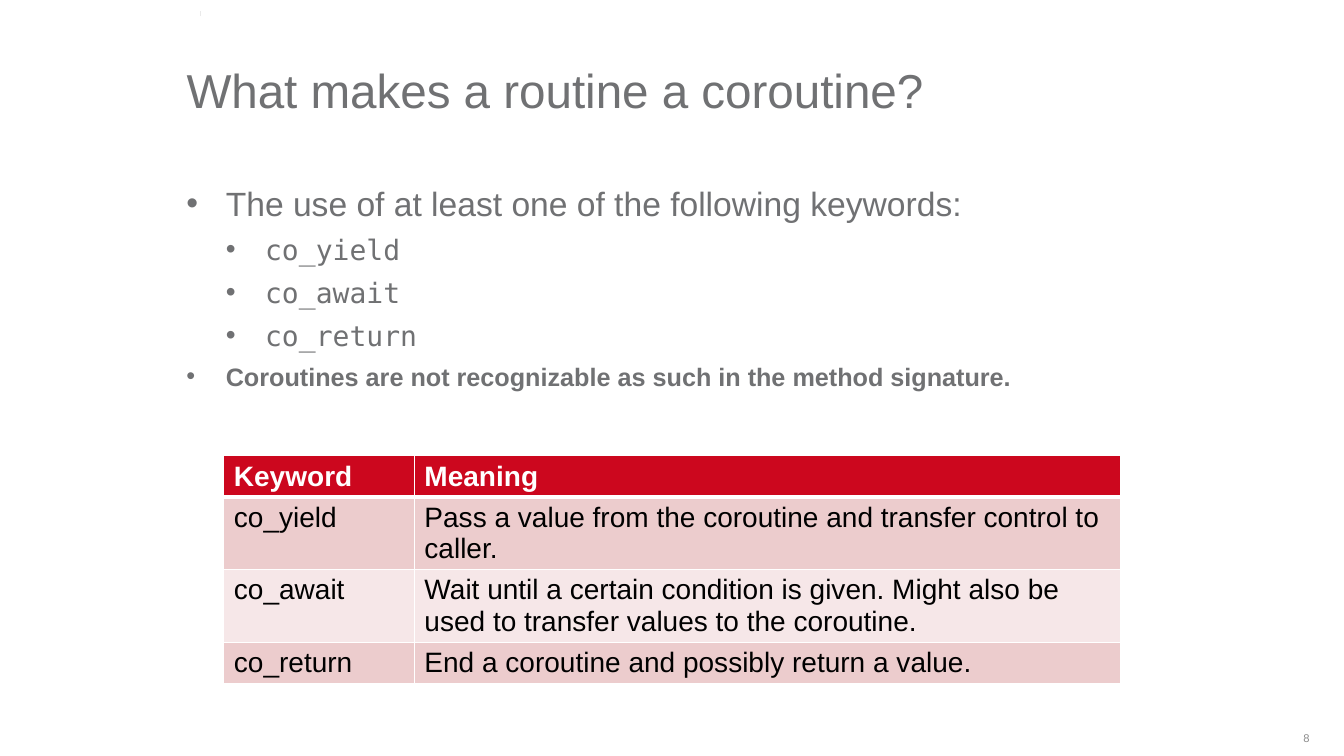
import pptx
import pptx.dml.color
import pptx.enum.shapes
import pptx.enum.text
import pptx.oxml
import pptx.oxml.ns
import pptx.util
from lxml import etree

Inches, Pt = pptx.util.Inches, pptx.util.Pt
ALIGN, ANCHOR = pptx.enum.text.PP_ALIGN, pptx.enum.text.MSO_ANCHOR
qn = pptx.oxml.ns.qn

COLORS = {
    "text": "707173", "number": "8C8C8C", "tick": "EAEAEA", "white": "FFFFFF",
    "black": "000000", "header": "CC071E", "odd": "ECCCCD", "even": "F6E7E8",
}
SANS, MONO = "Arial", "DejaVu Sans Mono"
INDENT = 0.39

# Level, text, size, font, bold
BULLETS = [
    (1, "The use of at least one of the following keywords:", 24, SANS, False),
    (2, "co_yield", 20, MONO, False),
    (2, "co_await", 20, MONO, False),
    (2, "co_return", 20, MONO, False),
    (1, "Coroutines are not recognizable as such in the method signature.", 18, SANS, True),
]
KEYWORDS = [
    ("Keyword", "Meaning"),
    ("co_yield", "Pass a value from the coroutine and transfer control to caller."),
    ("co_await", "Wait until a certain condition is given. Might also be used to "
                 "transfer values to the coroutine."),
    ("co_return", "End a coroutine and possibly return a value."),
]
COLUMN_WIDTHS = [1.89, 7]
ROW_HEIGHTS = [0.41, 0.72, 0.72, 0.41]


def color(name):
    return pptx.dml.color.RGBColor.from_string(COLORS[name])


def style(paragraph, size, name, font=SANS, bold=False):
    for span in paragraph.runs:
        span.font.size = Pt(size)
        span.font.name = font
        span.font.bold = bold
        span.font.color.rgb = color(name)


def prepare_frame(shape, anchor):
    frame = shape.text_frame
    frame.word_wrap = True
    frame.auto_size = pptx.enum.text.MSO_AUTO_SIZE.NONE
    frame.vertical_anchor = anchor
    frame.margin_left = frame.margin_top = frame.margin_right = frame.margin_bottom = 0
    return frame


def add_text_box(page, box, anchor):
    return prepare_frame(page.shapes.add_textbox(*map(Inches, box)), anchor)


def add_bullet(paragraph, level):
    properties = paragraph._p.get_or_add_pPr()
    properties.set("marL", str(Inches(INDENT * level)))
    properties.set("indent", str(-Inches(INDENT)))
    bullet_color = etree.SubElement(properties, qn("a:buClr"))
    etree.SubElement(bullet_color, qn("a:srgbClr"), val=COLORS["text"])
    etree.SubElement(properties, qn("a:buFont"), typeface=SANS)
    etree.SubElement(properties, qn("a:buChar"), char="•")


def add_title(page, box):
    title = page.shapes.title
    title.left, title.top, title.width, title.height = map(Inches, box)
    frame = prepare_frame(title, ANCHOR.BOTTOM)
    frame.text = "What makes a routine a coroutine?"
    paragraph = frame.paragraphs[0]
    paragraph.alignment = ALIGN.LEFT
    paragraph.line_spacing = Pt(38)
    style(paragraph, 34, "text")


def add_bullets(page, box):
    frame = add_text_box(page, box, ANCHOR.TOP)
    frame.text = "\n".join(bullet[1] for bullet in BULLETS)
    for index, (level, _, size, font, bold) in enumerate(BULLETS):
        paragraph = frame.paragraphs[index]
        add_bullet(paragraph, level)
        if index:
            paragraph.space_before = Pt(6.7)
        style(paragraph, size, "text", font, bold)


def add_borders(cell, bottom_width, top_width):
    properties = cell._tc.get_or_add_tcPr()
    for side, width in (("L", 1), ("R", 1), ("T", top_width), ("B", bottom_width)):
        line = etree.SubElement(properties, qn(f"a:ln{side}"), w=str(Pt(width)))
        fill = etree.SubElement(line, qn("a:solidFill"))
        etree.SubElement(fill, qn("a:srgbClr"), val=COLORS["white"])


def add_keyword_table(page, box):
    table = page.shapes.add_table(len(KEYWORDS), len(COLUMN_WIDTHS), *map(Inches, box)).table
    for column, width in zip(table.columns, COLUMN_WIDTHS):
        column.width = Inches(width)
    for index, texts in enumerate(KEYWORDS):
        table.rows[index].height = Inches(ROW_HEIGHTS[index])
        header = index == 0
        fill = "header" if header else "odd" if index % 2 else "even"
        for cell, text in zip(table.rows[index].cells, texts):
            cell.text = text
            style(cell.text_frame.paragraphs[0], 20, "white" if header else "black", bold=header)
            add_borders(cell, 3 if header else 1, 3 if index == 1 else 1)
            cell.fill.solid()
            cell.fill.fore_color.rgb = color(fill)


def add_page_number(page, box):
    frame = add_text_box(page, box, ANCHOR.MIDDLE)
    frame.text = "8"
    frame.paragraphs[0].alignment = ALIGN.RIGHT
    style(frame.paragraphs[0], 8, "number")


def add_guide_tick(page, box):
    left, top, _, height = box
    tick = page.shapes.add_connector(
        pptx.enum.shapes.MSO_CONNECTOR.STRAIGHT,
        Inches(left), Inches(top + height), Inches(left), Inches(top))
    tick.line.color.rgb = color("tick")
    tick.line.width = Pt(1)
    etree.SubElement(tick._element.spPr, qn("a:effectLst"))


def main():
    deck = pptx.Presentation()
    deck.slide_width, deck.slide_height = Inches(13.33), Inches(7.5)
    page = deck.slides.add_slide(deck.slide_layouts[5])
    add_guide_tick(page, (1.99, 0.11, 0, 0.05))
    add_title(page, (1.85, 0.55, 11.14, 0.62))
    add_bullets(page, (1.85, 1.81, 11.14, 2.44))
    add_keyword_table(page, (2.22, 4.52, sum(COLUMN_WIDTHS), sum(ROW_HEIGHTS)))
    add_page_number(page, (12.47, 7.19, 0.52, 0.26))
    deck.save("out.pptx")


if __name__ == "__main__":
    main()
